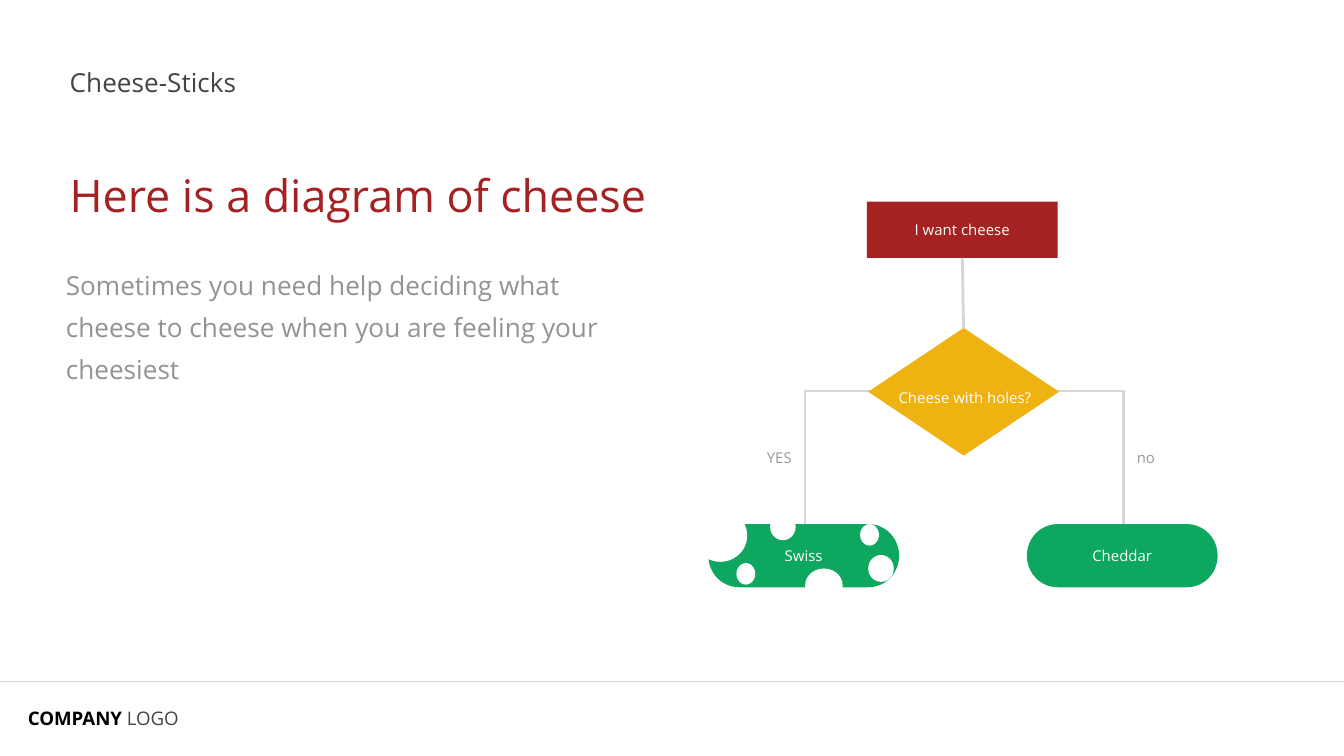
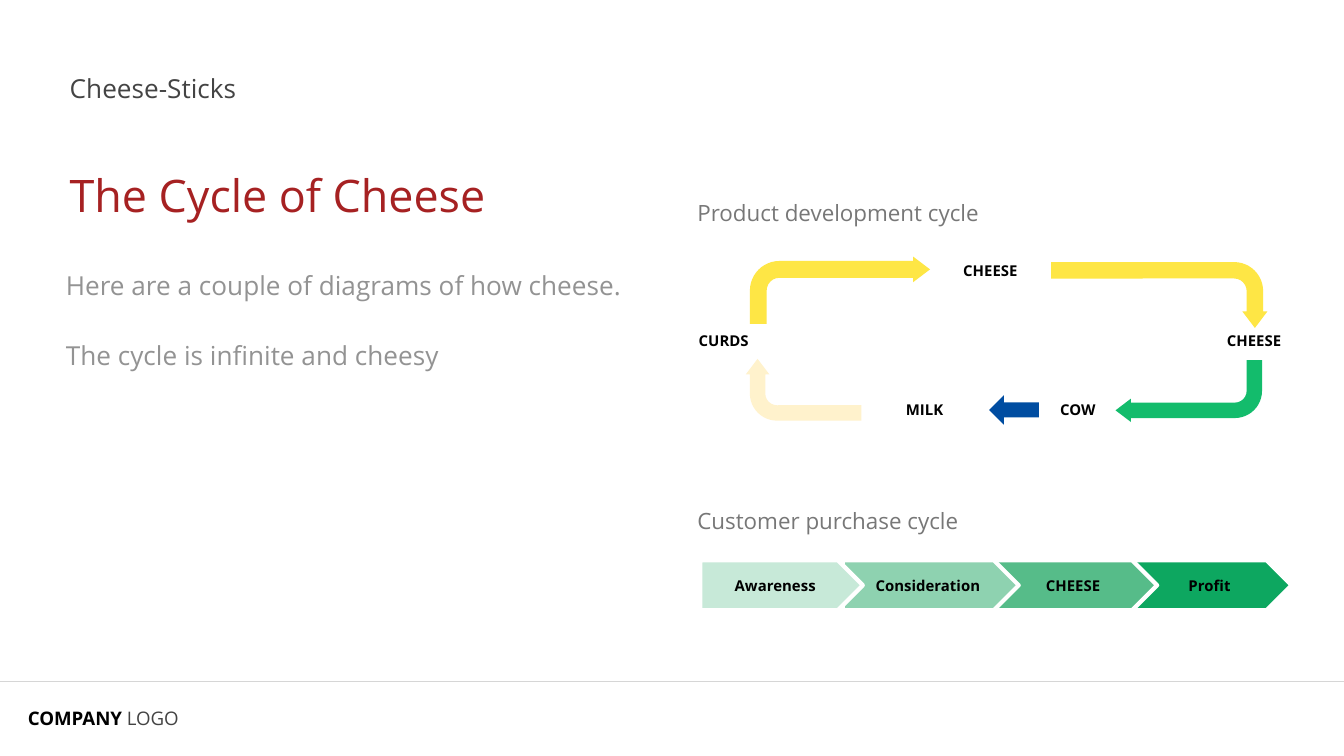
from pptx import Presentation
from pptx import util as u
from pptx.dml.color import RGBColor
from pptx.enum import shapes, text
from pptx.oxml.ns import qn
from lxml import etree

COLORS = {
    "black": "000000", "white": "FFFFFF", "logo": "434343", "rule": "D6D6D6",
    "heading": "444444", "red": "A62122", "body": "939393", "answer": "989898",
    "caption": "777777", "amber": "EEB211", "green": "0DA760",
    "yellow": "FEE645", "cream": "FFF2CC", "blue": "004DA1", "mint": "13BC6C",
    "stage 1": "C7E9D8", "stage 2": "8ED2B0", "stage 3": "56BC89",
}
COLORS = {name: RGBColor.from_string(value) for name, value in COLORS.items()}
FONT = "Open Sans"
KIND = shapes.MSO_SHAPE
LEFT, CENTER, RIGHT = text.PP_ALIGN.LEFT, text.PP_ALIGN.CENTER, text.PP_ALIGN.RIGHT
TOP, MIDDLE, BOTTOM = text.MSO_ANCHOR.TOP, text.MSO_ANCHOR.MIDDLE, text.MSO_ANCHOR.BOTTOM


def write(target, lines, size, color, bold=False, align=LEFT, anchor=MIDDLE,
          inset=0.1, spacing=None):
    """Put one paragraph per line in a shape; return its last paragraph."""
    frame = target.text_frame
    frame.word_wrap = True
    frame.vertical_anchor = anchor
    frame.margin_left = frame.margin_right = u.Inches(inset)
    frame.margin_top = frame.margin_bottom = u.Inches(inset)
    for index, line in enumerate(lines):
        paragraph = frame.add_paragraph() if index else frame.paragraphs[0]
        paragraph.alignment = align
        if spacing:
            paragraph.line_spacing = spacing
        if index:
            paragraph.space_before = u.Pt(15)
        run = paragraph.add_run()
        run.text = line
        run.font.name, run.font.size, run.font.bold = FONT, u.Pt(size), bold
        run.font.color.rgb = COLORS[color]
    return paragraph


def draw(slide, kind, box, fill, adjustments=()):
    """Add a filled preset shape without outline or shadow."""
    shape = slide.shapes.add_shape(kind, *map(u.Inches, box))
    shape.shadow.inherit = False
    shape.fill.solid()
    shape.fill.fore_color.rgb = COLORS[fill]
    shape.line.fill.background()
    for index, value in enumerate(adjustments):
        shape.adjustments[index] = value
    return shape


presentation = Presentation()
presentation.slide_width = u.Inches(10)
presentation.slide_height = u.Inches(10) * 9 // 16

# Footer, heading, title and body of both slides
slides = []
connectors = []
for title, body, heading_spacing in [
    ("Here is a diagram of cheese",
     ["Sometimes you need help deciding what cheese to cheese when you are feeling your cheesiest"],
     1.0),
    ("The Cycle of Cheese",
     ["Here are a couple of diagrams of how cheese.", "The cycle is infinite and cheesy"],
     1.2),
]:
    slide = presentation.slides.add_slide(presentation.slide_layouts[6])
    slides.append(slide)
    boxes = [slide.shapes.add_textbox(*map(u.Inches, box)) for box in [
        (0.11, 5.07, 2.26, 0.55), (0.42, 0.39, 9.15, 0.41),
        (0.42, 0.77, 6.88, 0.98), (0.42, 1.85, 4.37, 0.59)]]
    footer = write(boxes[0], ["COMPANY "], 10, "black", bold=True)
    logo = footer.add_run()
    logo.text = "LOGO"
    logo.font.name, logo.font.size, logo.font.bold = FONT, u.Pt(10), False
    logo.font.color.rgb = COLORS["logo"]
    write(boxes[1], ["Cheese-Sticks"], 14, "heading", anchor=TOP, spacing=heading_spacing)
    write(boxes[2], [title], 24, "red", anchor=BOTTOM)
    last = write(boxes[3], body, 14, "body", anchor=TOP, inset=0.07, spacing=1.35)
    last.space_after = u.Pt(15)
    rule = slide.shapes.add_connector(
        shapes.MSO_CONNECTOR.STRAIGHT, 0, u.Inches(5.07), u.Inches(10), u.Inches(5.07))
    connectors.append((rule, 0.75))

decision_slide, cycle_slide = slides

# Slide 1: decision tree
for edge, corner in [(6.48, 5.99), (7.87, 8.36)]:
    builder = decision_slide.shapes.build_freeform(u.Inches(edge), u.Inches(2.91))
    builder.add_line_segments(
        [(u.Inches(corner), u.Inches(y)) for y in (2.91, 3.9)], close=False)
    branch = builder.convert_to_shape()
    branch.shadow.inherit = False
    branch.fill.background()
    branch.line.color.rgb = COLORS["rule"]
    branch.line.width = u.Pt(1.5)

start = draw(decision_slide, KIND.RECTANGLE, (6.45, 1.5, 1.42, 0.42), "red")
question = draw(decision_slide, KIND.FLOWCHART_DECISION, (6.46, 2.44, 1.42, 0.95), "amber")
question_label = decision_slide.shapes.add_textbox(
    *map(u.Inches, (6.49, 2.49, 1.38, 0.93)))
swiss, cheddar = [
    draw(decision_slide, KIND.FLOWCHART_TERMINATOR, (left, 3.9, 1.42, 0.47), "green")
    for left in (5.27, 7.64)]
for target, label in [(start, "I want cheese"), (question_label, "Cheese with holes?"),
                      (swiss, "Swiss"), (cheddar, "Cheddar")]:
    write(target, [label], 8, "white", align=CENTER)

stem = decision_slide.shapes.add_connector(shapes.MSO_CONNECTOR.STRAIGHT, 0, 0, 0, 0)
stem.begin_connect(start, 2)
stem.end_connect(question, 0)
connectors.append((stem, 1.5))

for label, left, width, align in [("YES", 5.21, 0.78, RIGHT), ("no", 8.36, 0.71, LEFT)]:
    answer = decision_slide.shapes.add_textbox(*map(u.Inches, (left, 3.27, width, 0.33)))
    write(answer, [label], 8, "answer", align=align, anchor=TOP)

for hole in [(5.16, 3.79, 0.4, 0.39), (5.99, 4.23, 0.28, 0.25), (6.46, 4.13, 0.19, 0.2),
             (5.73, 3.82, 0.19, 0.2), (5.48, 4.19, 0.14, 0.16), (6.4, 3.9, 0.14, 0.16)]:
    draw(decision_slide, KIND.OVAL, hole, "white")

# Slide 2: product development cycle
for caption, top in [("Product development cycle", 1.38), ("Customer purchase cycle", 3.67)]:
    box = cycle_slide.shapes.add_textbox(*map(u.Inches, (5.09, top, 2.39, 0.41)))
    write(box, [caption], 12, "caption", anchor=TOP)

for label, box, align in [
    ("CURDS", (5.1, 2.41, 1.21, 0.25), LEFT),
    ("CHEESE", (6.87, 1.95, 1, 0.13), CENTER),
    ("CHEESE", (9.03, 2.41, 0.66, 0.25), LEFT),
    ("COW", (7.71, 2.98, 0.62, 0.13), CENTER),
    ("MILK", (6.35, 2.98, 1.06, 0.13), CENTER),
]:
    step = cycle_slide.shapes.add_textbox(*map(u.Inches, box))
    write(step, [label], 8, "black", bold=True, align=align)

for box, rotation, fill in [
    ((5.58, 1.91, 1.34, 0.5), 0, "yellow"),
    ((8.38, 1.39, 0.49, 1.61), 90, "yellow"),
    ((8.3, 2.68, 1.09, 0.46), 180, "mint"),
    ((5.75, 2.47, 0.46, 0.86), 270, "cream"),
]:
    arrow = draw(cycle_slide, KIND.BENT_ARROW, box, fill, (0.25, 0.19, 0.25, 0.44))
    arrow.rotation = rotation
draw(cycle_slide, KIND.LEFT_ARROW, (7.36, 2.94, 0.37, 0.22), "blue", (0.5, 0.5))

# Slide 2: purchase stages, from the last to the first so that each overlaps the next
for label, left, width, fill, indent in [
    ("Profit", 8.4, 1.21, "green", 0.08),
    ("CHEESE", 7.4, 1.21, "stage 3", 0.05),
    ("Consideration", 6.27, 1.31, "stage 2", 0.05),
    ("Awareness", 5.21, 1.21, "stage 1", 0),
]:
    stage = draw(cycle_slide, KIND.PENTAGON, (left, 4.17, width, 0.37), fill, (0.5,))
    stage.line.color.rgb = COLORS["white"]
    stage.line.width = u.Pt(2.25)
    write(stage, [label], 8, "black", bold=True, align=CENTER)
    stage.text_frame.margin_left = u.Inches(0.1 + indent)

for connector, width in connectors:
    connector.line.color.rgb = COLORS["rule"]
    connector.line.width = u.Pt(width)
    etree.SubElement(connector._element.spPr, qn("a:effectLst"))

presentation.save("out.pptx")
